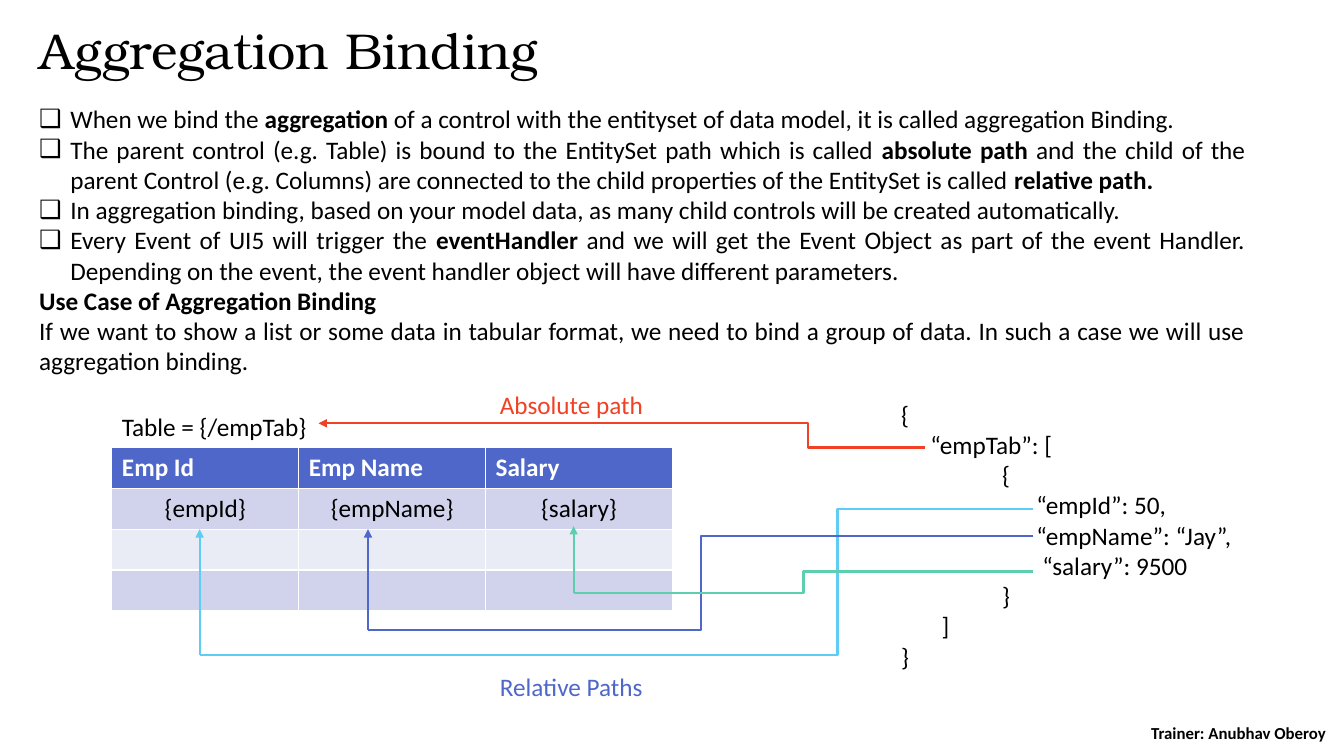
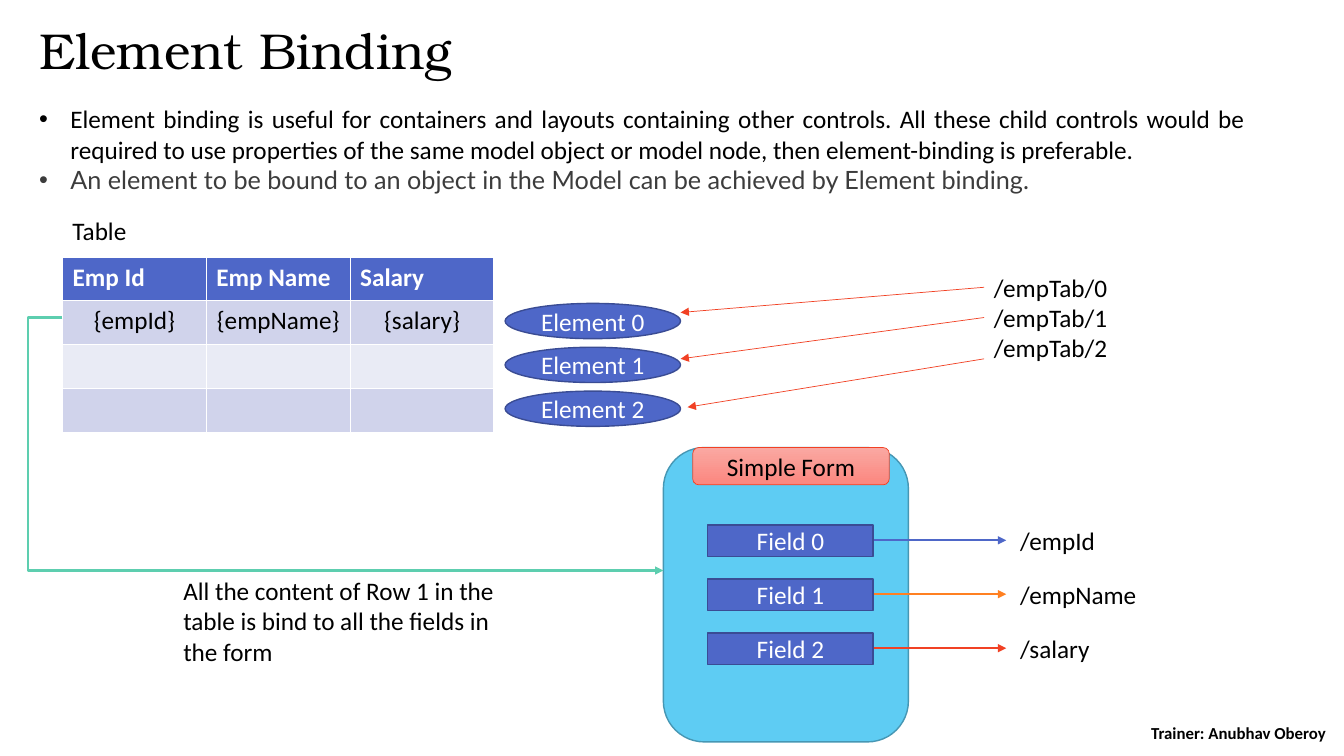
from dataclasses import dataclass
from typing import NamedTuple, Optional, Union

from lxml.etree import SubElement
from pptx import Presentation
from pptx.dml.color import RGBColor
from pptx.enum.shapes import MSO_CONNECTOR, MSO_SHAPE
from pptx.enum.text import MSO_ANCHOR, MSO_AUTO_SIZE, PP_ALIGN
from pptx.oxml.ns import qn
from pptx.shapes.autoshape import Shape
from pptx.shapes.connector import Connector
from pptx.shapes.shapetree import GroupShapes, SlideShapes
from pptx.slide import Slide
from pptx.text.text import TextFrame
from pptx.util import Inches, Pt

Shapes = Union[SlideShapes, GroupShapes]


@dataclass(frozen=True)
class Theme:
    black: str = "000000"
    white: str = "FFFFFF"
    gray: str = "3C3C3C"
    blue: str = "4E67C8"
    blue_edge: str = "3A4C94"
    sky: str = "5ECCF3"
    sky_edge: str = "4697B4"
    green: str = "5DCEAF"
    orange: str = "FF8021"
    red: str = "F14124"
    pink_top: str = "FAA8A2"
    pink_bottom: str = "FB877F"
    band_dark: str = "D0D3EB"
    band_light: str = "E9EBF5"
    title_font: str = "TeX Gyre Bonum"
    body_font: str = "Calibri"
    accent_font: str = "Lato"
    title_size: int = 36
    body_size: int = 18
    footer_size: int = 12
    thick_line: float = 1.5
    edge_line: float = 1
    thin_line: float = 0.5


THEME = Theme()


class Box(NamedTuple):
    left: float
    top: float
    width: float
    height: float

    def lengths(self) -> list[Inches]:
        return [Inches(value) for value in self]


class Point(NamedTuple):
    x: float
    y: float


@dataclass(frozen=True)
class TextStyle:
    color: str = THEME.black
    font: str = THEME.body_font
    size: int = THEME.body_size
    bold: Optional[bool] = None


BODY = TextStyle()
WHITE = TextStyle(THEME.white)
HEADER = TextStyle(THEME.white, bold=True)
TITLE = TextStyle(font=THEME.title_font, size=THEME.title_size)
FOOTER = TextStyle(size=THEME.footer_size, bold=True)


@dataclass(frozen=True)
class Para:
    """A paragraph; parts between ** marks are bold."""
    text: str
    style: TextStyle = BODY
    align: PP_ALIGN = PP_ALIGN.LEFT
    bullet: str = ""
    indent: float = 0


@dataclass(frozen=True)
class Arrow:
    """A line from start to end; bend_x makes it an elbow with its riser there."""
    start: Point
    end: Point
    color: str
    width: float = THEME.thick_line
    bend_x: Optional[float] = None
    head: bool = True


def rgb(color: str) -> RGBColor:
    return RGBColor.from_string(color)


def write(frame: TextFrame, paras: list[Para]) -> None:
    for index, item in enumerate(paras):
        para = frame.add_paragraph() if index else frame.paragraphs[0]
        para.alignment = item.align
        properties = para._p.get_or_add_pPr()
        if item.indent:
            properties.set("marL", str(Inches(item.indent)))
        if item.bullet:
            properties.set("indent", str(-Inches(item.indent)))
            SubElement(properties, qn("a:buFont"), typeface="Arial")
            SubElement(properties, qn("a:buChar"), char=item.bullet)
        para.font.name = item.style.font
        para.font.size = Pt(item.style.size)
        para.font.color.rgb = rgb(item.style.color)
        para.font.bold = item.style.bold
        for part, text in enumerate(item.text.split("**")):
            if text:
                span = para.add_run()
                span.text = text
                if part % 2:
                    span.font.bold = True


def add_text(page: Slide, box: Box, *paras: Para) -> Shape:
    shape = page.shapes.add_textbox(*box.lengths())
    shape.text_frame.word_wrap = True
    write(shape.text_frame, list(paras))
    return shape


def add_block(shapes: Shapes, kind: MSO_SHAPE, box: Box, text: str = "",
              fill: str = THEME.blue, edge: str = THEME.blue_edge,
              style: TextStyle = WHITE, edge_width: float = THEME.edge_line) -> Shape:
    shape = shapes.add_shape(kind, *box.lengths())
    shape.shadow.inherit = False
    shape.fill.solid()
    shape.fill.fore_color.rgb = rgb(fill)
    shape.line.color.rgb = rgb(edge)
    shape.line.width = Pt(edge_width)
    if text:
        frame = shape.text_frame
        frame.margin_left = frame.margin_right = 0
        frame.margin_top = frame.margin_bottom = 0
        frame.vertical_anchor = MSO_ANCHOR.MIDDLE
        write(frame, [Para(text, style, PP_ALIGN.CENTER)])
    return shape


def add_arrow(page: Slide, arrow: Arrow) -> Connector:
    kind = MSO_CONNECTOR.STRAIGHT if arrow.bend_x is None else MSO_CONNECTOR.ELBOW
    ends = [Inches(value) for value in (*arrow.start, *arrow.end)]
    line = page.shapes.add_connector(kind, *ends)
    line.line.color.rgb = rgb(arrow.color)
    line.line.width = Pt(arrow.width)
    properties = line._element.spPr
    SubElement(properties, qn("a:effectLst"))
    if arrow.head:
        SubElement(properties.find(qn("a:ln")), qn("a:tailEnd"), type="triangle")
    if arrow.bend_x is not None:
        ratio = (arrow.bend_x - arrow.start.x) / (arrow.end.x - arrow.start.x)
        guides = properties.find(qn("a:prstGeom")).get_or_add_avLst()
        SubElement(guides, qn("a:gd"), name="adj1", fmla=f"val {round(ratio * 100000)}")
    return line


def add_employee_table(page: Slide, box: Box) -> None:
    rows = [("Emp Id", "Emp Name", "Salary"), ("{empId}", "{empName}", "{salary}"),
            ("",) * 3, ("",) * 3]
    fills = [THEME.blue, THEME.band_dark, THEME.band_light, THEME.band_dark]
    table = page.shapes.add_table(len(rows), len(rows[0]), *box.lengths()).table
    for row, (texts, fill) in enumerate(zip(rows, fills)):
        for column, text in enumerate(texts):
            cell = table.cell(row, column)
            cell.fill.solid()
            cell.fill.fore_color.rgb = rgb(fill)
            para = Para(text, BODY, PP_ALIGN.CENTER) if row else Para(text, HEADER)
            write(cell.text_frame, [para])


def add_page(deck: Presentation, heading: str) -> Slide:
    """Add a slide with the shared title and footer."""
    page = deck.slides.add_slide(deck.slide_layouts[5])
    title = page.shapes.title
    title.left, title.top, title.width, title.height = Box(0.29, 0.21, 12.35, 0.78).lengths()
    title.text_frame.vertical_anchor = MSO_ANCHOR.TOP
    title.text_frame.auto_size = MSO_AUTO_SIZE.NONE
    write(title.text_frame, [Para(heading, TITLE)])
    title.text_frame.paragraphs[0].line_spacing = 0.9
    footer = add_text(page, Box(11.07, 7.16, 2.43, 0.22),
                      Para("Trainer: Anubhav Oberoy", FOOTER, PP_ALIGN.CENTER))
    footer.text_frame.vertical_anchor = MSO_ANCHOR.MIDDLE
    return page


def point(text: str, bullet: str, style: TextStyle = BODY) -> Para:
    return Para(text, style, PP_ALIGN.JUSTIFY, bullet, 0.31)


def build_aggregation(deck: Presentation) -> None:
    page = add_page(deck, "Aggregation Binding")
    points = [
        "When we bind the **aggregation** of a control with the entityset of data model, "
        "it is called aggregation Binding.",
        "The parent control (e.g. Table) is bound to the EntitySet path which is called "
        "**absolute path** and the child of the parent Control (e.g. Columns) are connected "
        "to the child properties of the EntitySet is called **relative path.**",
        "In aggregation binding, based on your model data, as many child controls will be "
        "created automatically.",
        "Every Event of UI5 will trigger the **eventHandler **and we will get the Event "
        "Object as part of the event Handler. Depending on the event, the event handler "
        "object will have different parameters.",
    ]
    use_case = ("If we want to show a list or some data in tabular format, we need to bind a "
                "group of data. In such a case we will use aggregation binding.")
    add_text(page, Box(0.29, 0.98, 12.16, 2.83),
             *(point(text, "❑") for text in points),
             Para("**Use Case of Aggregation Binding**", align=PP_ALIGN.JUSTIFY),
             Para(use_case, align=PP_ALIGN.JUSTIFY))

    add_employee_table(page, Box(1.11, 4.44, 5.56, 1.62))
    add_text(page, Box(1.11, 4.03, 2.19, 0.4), Para("Table = {/empTab}"))
    model = [(0, "{"), (0.29, "“empTab”: ["), (1, "{"), (1.34, "“empId”: 50,"),
             (1.34, "“empName”: “Jay”,"), (1.4, "“salary”: 9500"), (1, "}"),
             (0.4, "]"), (0, "}")]
    add_text(page, Box(8.84, 3.91, 3.6, 2.83),
             *(Para(text, indent=indent) for indent, text in model))

    add_arrow(page, Arrow(Point(9.17, 4.44), Point(3.16, 4.2), THEME.red, bend_x=8.01))
    relative_paths = [
        (Point(10.25, 5.05), 8.31, Point(1.98, 6.5), 5.25, THEME.sky),
        (Point(10.25, 5.32), 6.95, Point(3.65, 6.25), 5.25, THEME.blue),
        (Point(10.25, 5.67), 7.97, Point(5.69, 5.88), 5.22, THEME.green),
    ]
    for start, bend_x, corner, cell_y, color in relative_paths:
        add_arrow(page, Arrow(start, corner, color, bend_x=bend_x, head=False))
        add_arrow(page, Arrow(corner, Point(corner.x, cell_y), color))
    for top, text, color in ((3.81, "Absolute path", THEME.red),
                             (6.61, "Relative Paths", THEME.blue)):
        add_text(page, Box(4.86, top, 2.76, 0.4), Para(text, TextStyle(color)))


def build_element(deck: Presentation) -> None:
    page = add_page(deck, "Element Binding")
    add_text(page, Box(0.29, 0.98, 12.16, 1.01),
             point("Element binding is useful for containers and layouts containing other "
                   "controls. All these child controls would be required to use properties of "
                   "the same model object or model node, then element-binding is preferable.",
                   "•"),
             point("An element to be bound to an object in the Model can be achieved by "
                   "Element binding.", "•", TextStyle(THEME.gray, THEME.accent_font)))

    add_employee_table(page, Box(0.62, 2.55, 4.28, 1.74))
    add_text(page, Box(0.62, 2.09, 1.56, 0.4), Para("Table"))
    add_text(page, Box(9.76, 2.65, 2.69, 1.01),
             *(Para(f"/empTab/{index}") for index in range(3)))
    element_arrows = [(Point(9.76, 2.85), Point(6.75, 3.1)),
                      (Point(9.76, 3.15), Point(6.75, 3.56)),
                      (Point(9.76, 3.56), Point(6.82, 4.04))]
    for index, (start, end) in enumerate(element_arrows):
        add_block(page.shapes, MSO_SHAPE.OVAL, Box(5.01, 3.01 + index * 0.435, 1.74, 0.35),
                  f"Element {index}")
        add_arrow(page, Arrow(start, end, THEME.red, THEME.thin_line))

    form = page.shapes.add_group_shape().shapes
    add_block(form, MSO_SHAPE.ROUNDED_RECTANGLE, Box(6.58, 4.44, 2.43, 2.92),
              fill=THEME.sky, edge=THEME.sky_edge)
    caption = add_block(form, MSO_SHAPE.ROUNDED_RECTANGLE, Box(6.87, 4.44, 1.95, 0.37),
                        "Simple Form", edge=THEME.red, style=BODY, edge_width=THEME.thin_line)
    caption.fill.gradient()
    caption.fill.gradient_angle = 270
    for stop, color in zip(caption.fill.gradient_stops, (THEME.pink_top, THEME.pink_bottom)):
        stop.color.rgb = rgb(color)

    fields = [("/empId", THEME.blue), ("/empName", THEME.orange), ("/salary", THEME.red)]
    for index, (name, color) in enumerate(fields):
        top = 5.21 + index * 0.535
        middle = top + 0.15
        add_block(form, MSO_SHAPE.RECTANGLE, Box(7.02, top, 1.64, 0.31), f"Field {index}")
        add_arrow(page, Arrow(Point(8.67, middle), Point(9.98, middle), color))
        add_text(page, Box(10.02, top - 0.05, 1.5, 0.4), Para(name))

    add_arrow(page, Arrow(Point(0.62, 3.15), Point(6.58, 5.66), THEME.green, bend_x=0.28))
    add_text(page, Box(1.72, 5.66, 3.6, 1.01),
             Para("All the content of Row 1 in the table is bind to all the fields in the form"))


def main() -> None:
    deck = Presentation()
    deck.slide_width, deck.slide_height = Inches(13.33), Inches(7.5)
    build_aggregation(deck)
    build_element(deck)
    deck.save("out.pptx")


if __name__ == "__main__":
    main()
